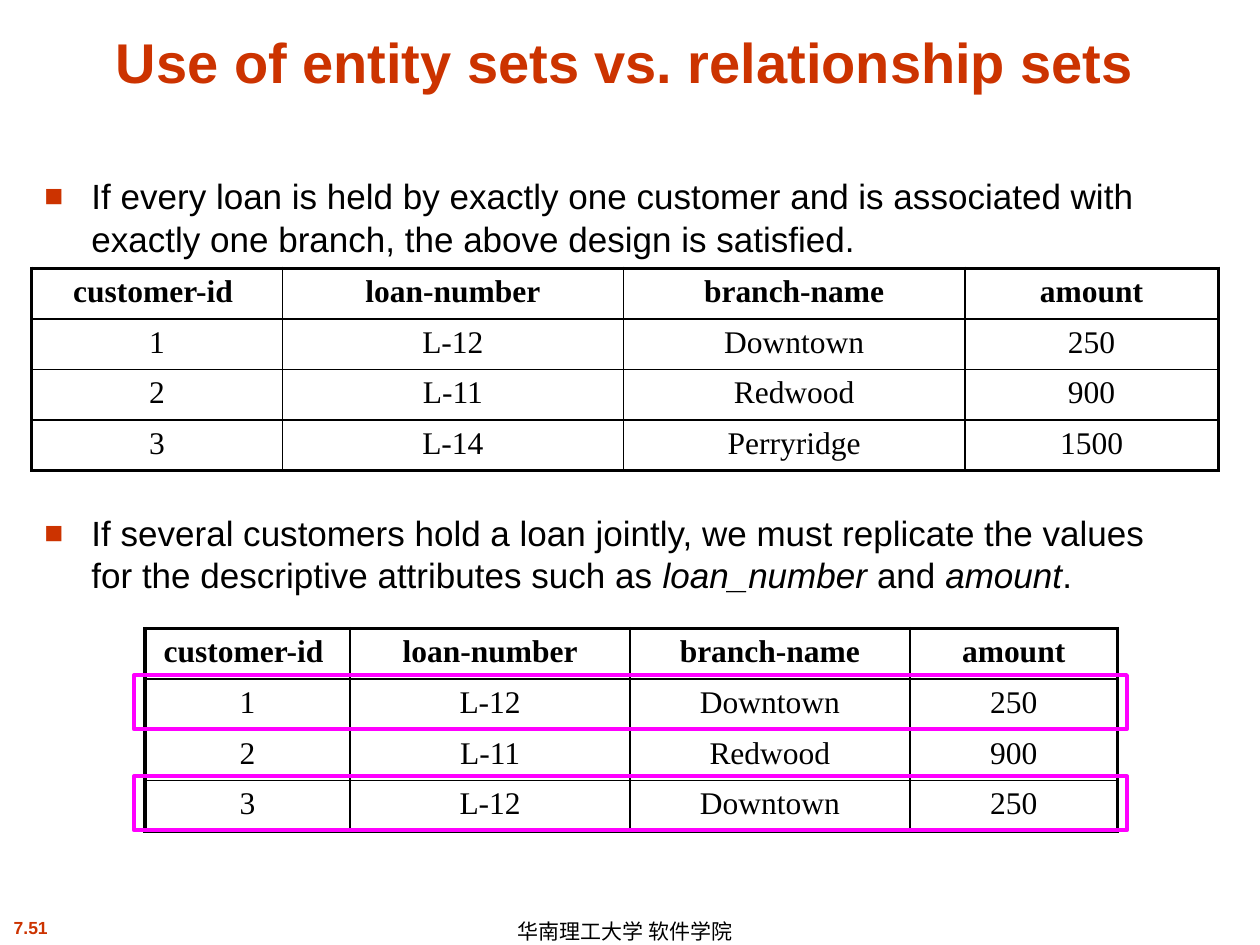
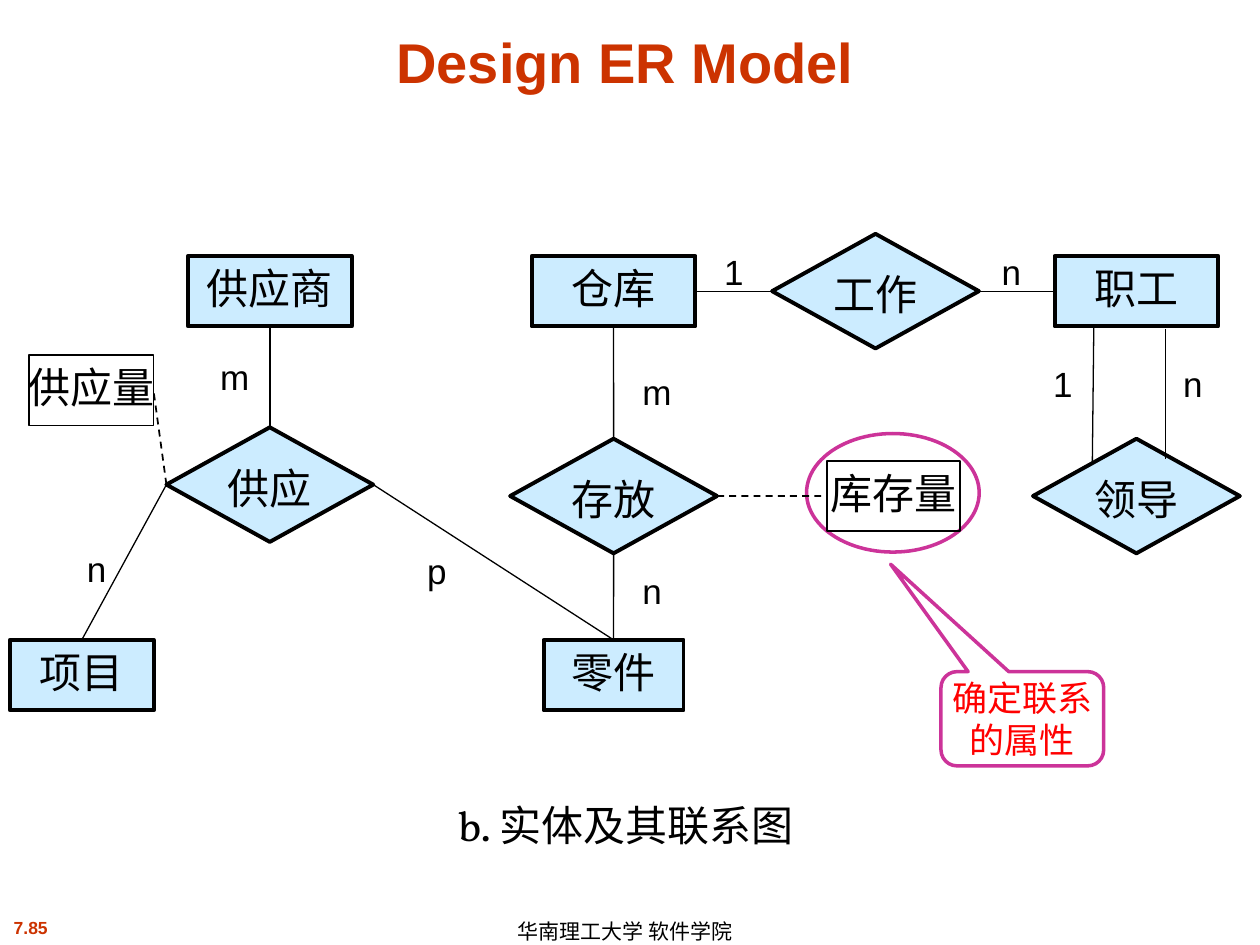
from lxml.etree import SubElement
from pptx import Presentation
from pptx.dml.color import RGBColor
from pptx.enum.dml import MSO_LINE
from pptx.enum.shapes import MSO_CONNECTOR, MSO_SHAPE
from pptx.enum.text import MSO_ANCHOR, MSO_AUTO_SIZE, PP_ALIGN
from pptx.oxml.ns import qn
from pptx.util import Cm, Pt

BLACK = RGBColor(0x00, 0x00, 0x00)
ORANGE = RGBColor(0xCC, 0x33, 0x00)
PALE_BLUE = RGBColor(0xCC, 0xEC, 0xFF)
MAGENTA = RGBColor(0xFF, 0x00, 0xFF)
PINK = RGBColor(0xCC, 0x33, 0x99)
RED = RGBColor(0xFF, 0x00, 0x00)
SANS, SERIF, CAPTION_FONT = "Arial", "Times New Roman", "Vollkorn"
CHINESE = "Noto Sans CJK SC"

# All positions and sizes are in centimetres.
TITLE_BOX = (0.64, 0.33, 23.93, 1.7)
NUMBER_BOX = (0, 18.36, 1.24, 0.69)
FOOTER_BOX = (10.19, 18.42, 5.69, 0.64)
FOOTER = "华南理工大学 软件学院"

# Slide 1: each bullet is a list of (text, italic) pieces.
BULLETS = [
    ((0.64, 3.4, 23.09, 1.8), [
        ("If every loan is held by exactly one customer and is associated with "
         "exactly one branch, the above design is satisfied.", False)]),
    ((0.64, 10.19, 23.29, 2.16), [
        ("If several customers hold a loan jointly, we must replicate the values "
         "for the descriptive attributes such as ", False),
        ("loan_number", True), (" and ", False), ("amount", True), (".", False)]),
]
LOAN_HEADER = ("customer-id ", "loan-number", "branch-name", "amount")
SINGLE_LOANS = [
    LOAN_HEADER,
    ("1", "L-12", "Downtown", "250"),
    ("2", "L-11", "Redwood", "900"),
    ("3", "L-14", "Perryridge", "1500"),
]
JOINT_LOANS = SINGLE_LOANS[:3] + [("3", "L-12", "Downtown", "250")]
LOAN_TABLES = [
    (0.64, 5.41, (5.05, 6.88, 6.88, 5.11), SINGLE_LOANS, ()),
    (2.92, 12.67, (4.14, 5.64, 5.64, 4.19), JOINT_LOANS, (1, 3)),
]
ROW_HEIGHT = 1.02
HIGHLIGHT_SIZE = (20.02, 1.09)
HIGHLIGHT_OFFSET = (-0.22, -0.08)

# Slide 2: name -> centre x, centre y, width
ENTITIES = {
    "供应商": (5.44, 5.87, 3.3),
    "仓库": (12.37, 5.87, 3.3),
    "职工": (22.91, 5.87, 3.3),
    "项目": (1.65, 13.61, 2.9),
    "零件": (12.37, 13.61, 2.82),
}
RELATIONSHIPS = {
    "供应": (5.44, 9.77, 4.17),
    "存放": (12.37, 10, 4.17),
    "工作": (17.65, 5.87, 4.17),
    "领导": (22.91, 10, 4.17),
}
ATTRIBUTES = {
    "供应量": (1.84, 7.87, 2.51),
    "库存量": (18.01, 10, 2.69),
}
BOX_HEIGHT, DIAMOND_HEIGHT = 1.42, 2.31

TOP, LEFT, BOTTOM, RIGHT = range(4)
LINKS = [
    ("供应商", BOTTOM, "供应", TOP),
    ("供应", LEFT, "项目", TOP),
    ("供应", RIGHT, "零件", TOP),
    ("仓库", BOTTOM, "存放", TOP),
    ("存放", BOTTOM, "零件", TOP),
    ("仓库", RIGHT, "工作", LEFT),
    ("工作", RIGHT, "职工", LEFT),
    ("存放", RIGHT, "库存量", LEFT),
    ("供应", LEFT, "供应量", RIGHT),
]
LEADER_LINES = [(22.05, 6.58, 22.02, 9.32), (23.5, 6.63, 23.5, 9.25)]
CARDINALITIES = [
    ("m", 4.19, 7.04), ("n", 1.5, 10.92), ("p", 8.36, 10.95),
    ("m", 12.7, 7.34), ("n", 12.7, 11.35),
    ("1", 14.35, 4.93), ("n", 19.94, 4.93),
    ("1", 20.98, 7.19), ("n", 23.6, 7.19),
]
CARDINALITY_SIZE = (1.12, 1.12)
RING_BOX = (16.26, 8.74, 3.48, 2.39)
CALLOUT, CALLOUT_BOX = "确定联系的属性", (18.97, 13.54, 3.28, 1.9)
CALLOUT_SHAPE = (-0.81, -1.64, 0.17)
CAPTION, CAPTION_BOX = "b. 实体及其联系图", (8.92, 16, 7.39, 1.3)


def cm(lengths):
    return [Cm(length) for length in lengths]


def format_run(run, size, color=BLACK, font=SANS, bold=False, italic=False):
    run.font.size, run.font.name = Pt(size), font
    run.font.bold, run.font.italic = bold, italic
    run.font.color.rgb = color
    SubElement(run._r.get_or_add_rPr(), qn("a:ea"), typeface=CHINESE)


def write(frame, text, size, align=PP_ALIGN.CENTER, anchor=MSO_ANCHOR.TOP,
          wrap=True, **style):
    frame.text = text
    frame.word_wrap, frame.vertical_anchor = wrap, anchor
    paragraph = frame.paragraphs[0]
    paragraph.alignment = align
    format_run(paragraph.runs[0], size, **style)


def place(placeholder, box):
    placeholder.left, placeholder.top, placeholder.width, placeholder.height = cm(box)
    placeholder.text_frame.auto_size = MSO_AUTO_SIZE.NONE


def add_text(slide, box, text, size, **style):
    frame = slide.shapes.add_textbox(*cm(box)).text_frame
    write(frame, text, size, **style)
    return frame


def add_outline(slide, kind, box, color, width, fill=None):
    shape = slide.shapes.add_shape(kind, *cm(box))
    shape.shadow.inherit = False
    shape.line.color.rgb, shape.line.width = color, Pt(width)
    if fill is None:
        shape.fill.background()
    else:
        shape.fill.solid()
        shape.fill.fore_color.rgb = fill
    return shape


def add_line(slide, ends=(0, 0, 0, 0), width=0.75):
    line = slide.shapes.add_connector(MSO_CONNECTOR.STRAIGHT, *cm(ends))
    line.line.color.rgb, line.line.width = BLACK, Pt(width)
    SubElement(line._element.spPr, qn("a:effectLst"))
    return line


def new_slide(deck, layout, title, number):
    """Add a slide with the shared title, slide number and footer."""
    slide = deck.slides.add_slide(deck.slide_layouts[layout])
    place(slide.shapes.title, TITLE_BOX)
    write(slide.shapes.title.text_frame, title, 32, anchor=MSO_ANCHOR.BOTTOM,
          color=ORANGE, bold=True)
    add_text(slide, NUMBER_BOX, number, 10, wrap=False, color=ORANGE, bold=True)
    footer = add_text(slide, FOOTER_BOX, FOOTER, 12, align=PP_ALIGN.LEFT,
                      anchor=MSO_ANCHOR.MIDDLE)
    footer.paragraphs[0].line_spacing = 1.1
    return slide


def fill_bullet(body, box, pieces):
    place(body, box)
    paragraph = body.text_frame.paragraphs[0]
    paragraph.space_before = Pt(0)
    for text, italic in pieces:
        run = paragraph.add_run()
        run.text = text
        format_run(run, 20, italic=italic)
    properties = paragraph._p.get_or_add_pPr()
    properties.set("marL", str(Cm(0.95)))
    properties.set("indent", str(Cm(-0.95)))
    color = SubElement(properties, qn("a:buClr"))
    SubElement(color, qn("a:srgbClr"), val=str(ORANGE))
    SubElement(properties, qn("a:buSzPct"), val="90000")
    SubElement(properties, qn("a:buFont"), typeface=SANS)
    SubElement(properties, qn("a:buChar"), char="■")


def set_borders(cell, outer_sides):
    """Draw thick lines on the sides named in outer_sides, thin ones elsewhere."""
    properties = cell._tc.get_or_add_tcPr()
    for position, side in enumerate("LRTB"):
        width = Pt(2.25) if side in outer_sides else Pt(1)
        border = properties.makeelement(qn(f"a:ln{side}"), {"w": str(width)})
        fill = SubElement(border, qn("a:solidFill"))
        SubElement(fill, qn("a:srgbClr"), val=str(BLACK))
        properties.insert(position, border)


def add_loan_table(slide, left, top, widths, rows, highlighted):
    box = cm((left, top, sum(widths), ROW_HEIGHT * len(rows)))
    table = slide.shapes.add_table(len(rows), len(widths), *box).table
    table.first_row = table.horz_banding = False
    for column, width in zip(table.columns, widths):
        column.width = Cm(width)
    for r, row in enumerate(rows):
        table.rows[r].height = Cm(ROW_HEIGHT)
        for c, value in enumerate(row):
            cell = table.cell(r, c)
            write(cell.text_frame, value, 18, font=SERIF, bold=r == 0)
            cell.fill.background()
            edges = {"L": c == 0, "R": c == len(row) - 1,
                     "T": r == 0, "B": r == len(rows) - 1}
            set_borders(cell, [side for side, outer in edges.items() if outer])
    dx, dy = HIGHLIGHT_OFFSET
    for r in highlighted:
        frame = (left + dx, top + r * ROW_HEIGHT + dy, *HIGHLIGHT_SIZE)
        add_outline(slide, MSO_SHAPE.RECTANGLE, frame, MAGENTA, 2.25)


def add_nodes(slide, nodes, kind, height, line_width, fill=None):
    shapes = {}
    for name, (x, y, width) in nodes.items():
        box = (x - width / 2, y - height / 2, width, height)
        shapes[name] = add_outline(slide, kind, box, BLACK, line_width, fill)
        write(shapes[name].text_frame, name, 24, wrap=False, font=CHINESE)
    return shapes


def build_loans(deck):
    slide = new_slide(deck, 3, "Use of entity sets vs. relationship sets", "7.51")
    bodies = list(slide.placeholders)[1:]
    for body, (box, pieces) in zip(bodies, BULLETS):
        fill_bullet(body, box, pieces)
    for loan_table in LOAN_TABLES:
        add_loan_table(slide, *loan_table)


def build_er_model(deck):
    slide = new_slide(deck, 5, "Design ER Model", "7.85")

    callout = add_outline(slide, MSO_SHAPE.ROUNDED_RECTANGULAR_CALLOUT,
                          CALLOUT_BOX, PINK, 2)
    for i, value in enumerate(CALLOUT_SHAPE):
        callout.adjustments[i] = value
    frame = callout.text_frame
    frame.margin_left = frame.margin_right = frame.margin_top = frame.margin_bottom = 0
    write(frame, CALLOUT, 20, anchor=MSO_ANCHOR.MIDDLE, color=RED, font=CHINESE)
    add_outline(slide, MSO_SHAPE.OVAL, RING_BOX, PINK, 2)

    nodes = {
        **add_nodes(slide, ENTITIES, MSO_SHAPE.RECTANGLE, BOX_HEIGHT, 2.25, PALE_BLUE),
        **add_nodes(slide, RELATIONSHIPS, MSO_SHAPE.DIAMOND, DIAMOND_HEIGHT, 2.25,
                    PALE_BLUE),
        **add_nodes(slide, ATTRIBUTES, MSO_SHAPE.RECTANGLE, BOX_HEIGHT, 1),
    }
    for start, start_side, end, end_side in LINKS:
        to_attribute = end in ATTRIBUTES
        link = add_line(slide, width=1 if to_attribute else 0.75)
        link.begin_connect(nodes[start], start_side)
        link.end_connect(nodes[end], end_side)
        if to_attribute:
            link.line.dash_style = MSO_LINE.DASH
    for ends in LEADER_LINES:
        add_line(slide, ends)
    for cardinality, left, top in CARDINALITIES:
        add_text(slide, (left, top, *CARDINALITY_SIZE), cardinality, 20,
                 align=PP_ALIGN.LEFT)
    add_text(slide, CAPTION_BOX, CAPTION, 24, font=CAPTION_FONT)


def main():
    deck = Presentation()
    deck.slide_width, deck.slide_height = Cm(25.4), Cm(19.05)
    build_loans(deck)
    build_er_model(deck)
    deck.save("out.pptx")


if __name__ == "__main__":
    main()
